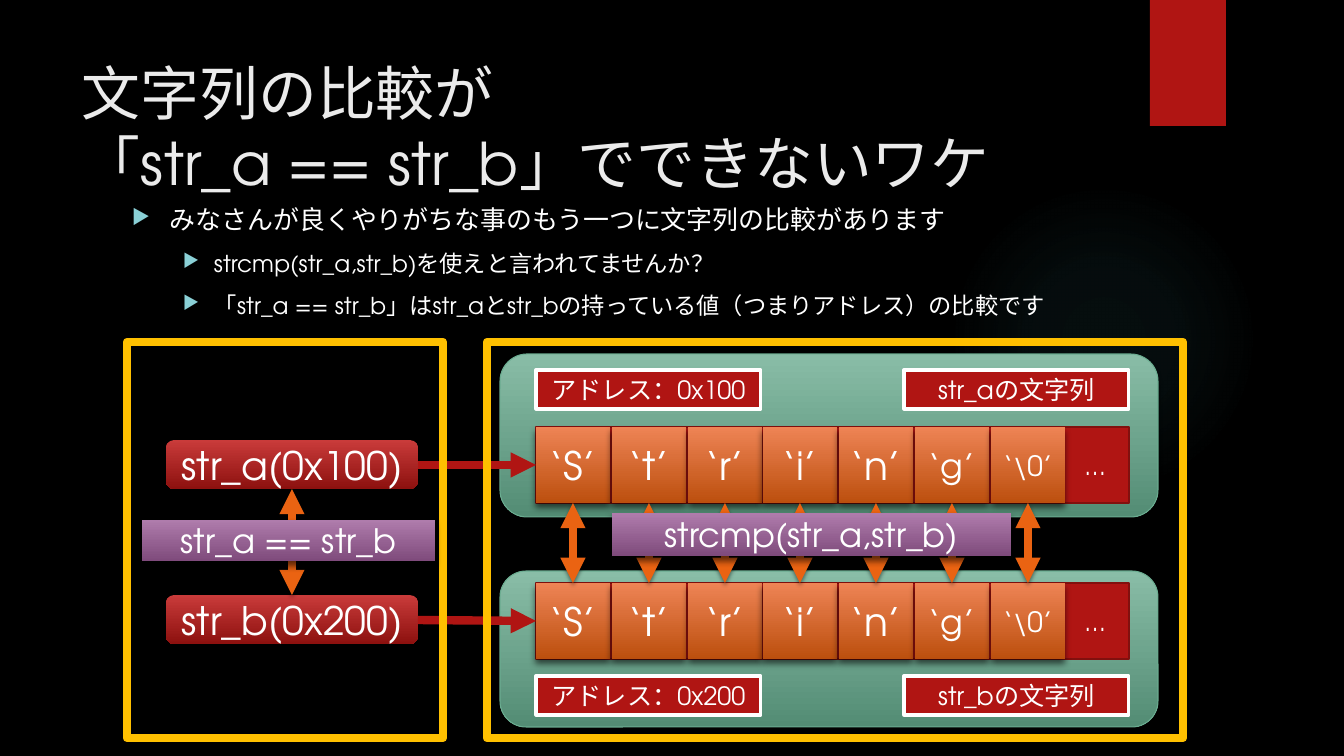
from dataclasses import dataclass

from lxml import etree
from pptx import Presentation
from pptx import util as u
from pptx.dml import color
from pptx.enum import shapes, text
from pptx.oxml import ns

EMU_PER_PIXEL = 914400 / 100.8


@dataclass(frozen=True)
class Theme:
    font: str = "TeX Gyre Adventor"
    background: str = "000000"
    title: str = "EBEBEB"
    white: str = "FFFFFF"
    bullet: str = "8AD0D6"
    glow: str = "50B9C1"
    red: str = "B01513"
    dark_red: str = "82100E"
    orange: str = "EA6312"
    yellow: str = "FFC000"
    green_line: str = "6AAC90"
    green_fade: tuple = ("89BDA7", "538C74")
    orange_fade: tuple = ("EE8455", "BC4F0E")
    red_fade: tuple = ("C93B3A", "8D110F")
    purple_fade: tuple = ("AF7CAC", "7F4B7C")
    soft_shadow: tuple = (45, 3, 2)
    deep_shadow: tuple = (60, 5, 3)
    title_size: float = 42
    body_size: float = 18.5
    detail_size: float = 16.6
    big_size: float = 28
    banner_size: float = 24
    small_size: float = 20
    label_size: float = 18


THEME = Theme()
RECT = shapes.MSO_SHAPE.RECTANGLE
ROUND = shapes.MSO_SHAPE.ROUNDED_RECTANGLE
CELL_LEFT, CELL_PITCH, CELL_WIDTH, CELL_HEIGHT = 536, 75.8, 74, 76
CHARACTERS = ["S", "t", "r", "i", "n", "g", "\\0"]
CELL_SIZES = [THEME.big_size] * 5 + [THEME.banner_size, THEME.small_size]


def px(*lengths):
    return [u.Emu(round(length * EMU_PER_PIXEL)) for length in lengths]


def rgb(value):
    return color.RGBColor.from_string(value)


def add_xml(parent, tag, **attributes):
    values = {name: str(value) for name, value in attributes.items()}
    return etree.SubElement(parent, ns.qn(tag), values)


def add_shadow(effects, shadow):
    opacity, blur, distance = shadow
    outer = add_xml(effects, "a:outerShdw", blurRad=u.Pt(blur), dist=u.Pt(distance),
                    dir=5400000, algn="ctr", rotWithShape=0)
    tint = add_xml(outer, "a:srgbClr", val="000000")
    add_xml(tint, "a:alpha", val=opacity * 1000)


def style_text(paragraph, size, ink):
    paragraph.font.name = THEME.font
    paragraph.font.size = u.Pt(size)
    paragraph.font.color.rgb = rgb(ink)


def add_block(slide, kind, box, fill=None, line=None, shadow=None, label=None, size=None):
    shape = slide.shapes.add_shape(kind, *px(*box))
    shape.shadow.inherit = False
    if fill is None:
        shape.fill.background()
    elif isinstance(fill, tuple):
        shape.fill.gradient()
        shape.fill.gradient_angle = 270
        for stop, tint in zip(shape.fill.gradient_stops, fill):
            stop.color.rgb = rgb(tint)
    else:
        shape.fill.solid()
        shape.fill.fore_color.rgb = rgb(fill)
    if line:
        shape.line.color.rgb = rgb(line[0])
        shape.line.width = u.Pt(line[1])
    else:
        shape.line.fill.background()
    if shadow:
        add_shadow(shape._element.spPr.find(ns.qn("a:effectLst")), shadow)
    if label:
        frame = shape.text_frame
        frame.word_wrap = True
        frame.vertical_anchor = text.MSO_ANCHOR.MIDDLE
        frame.text = label
        frame.paragraphs[0].alignment = text.PP_ALIGN.CENTER
        style_text(frame.paragraphs[0], size, THEME.white)
    return shape


def add_text(slide, box, content, size, ink):
    frame = slide.shapes.add_textbox(*px(*box)).text_frame
    frame.word_wrap = True
    frame.text = content
    style_text(frame.paragraphs[0], size, ink)
    return frame


def add_arrow(slide, ends, tint, both=False, shadow=None):
    arrow = slide.shapes.add_connector(shapes.MSO_CONNECTOR.STRAIGHT, *px(*ends))
    arrow.line.color.rgb = rgb(tint)
    arrow.line.width = u.Pt(6)
    line = arrow.line._get_or_add_ln()
    if both:
        add_xml(line, "a:headEnd", type="triangle")
    add_xml(line, "a:tailEnd", type="triangle")
    effects = add_xml(arrow._element.spPr, "a:effectLst")
    if shadow:
        add_shadow(effects, shadow)


def add_glow(slide, box):
    shape = add_block(slide, shapes.MSO_SHAPE.OVAL, box)
    old_fill = shape._element.spPr.find(ns.qn("a:noFill"))
    gradient = etree.Element(ns.qn("a:gradFill"), rotWithShape="1")
    stops = add_xml(gradient, "a:gsLst")
    for position, opacity in [(0, 7), (36, 6), (69, 0)]:
        stop = add_xml(stops, "a:gs", pos=position * 1000)
        tint = add_xml(stop, "a:srgbClr", val=THEME.glow)
        add_xml(tint, "a:alpha", val=opacity * 1000)
    circle = add_xml(gradient, "a:path", path="circle")
    add_xml(circle, "a:fillToRect", l=50000, t=50000, r=50000, b=50000)
    old_fill.getparent().replace(old_fill, gradient)


def add_bullets(slide, box, items):
    frame = slide.shapes.add_textbox(*px(*box)).text_frame
    frame.word_wrap = True
    for index, (level, content) in enumerate(items):
        paragraph = frame.paragraphs[0] if index == 0 else frame.add_paragraph()
        paragraph.text = content
        paragraph.level = level
        paragraph.space_before = u.Pt(10)
        margin, hang = px(*[(38, 38), (82, 31)][level])
        properties = paragraph._p.get_or_add_pPr()
        properties.set("marL", str(margin))
        properties.set("indent", str(-hang))
        add_xml(add_xml(properties, "a:buClr"), "a:srgbClr", val=THEME.bullet)
        add_xml(properties, "a:buSzPct", val=80000)
        add_xml(properties, "a:buChar", char="▶")
        style_text(paragraph, [THEME.body_size, THEME.detail_size][level], THEME.white)


def cell_left(index):
    return round(CELL_LEFT + index * CELL_PITCH)


def add_string(slide, name, address, panel, cell_top, label_top, button_top):
    add_block(slide, ROUND, panel, THEME.green_fade, (THEME.green_line, 0.75),
              THEME.soft_shadow)
    add_block(slide, RECT, (CELL_LEFT, cell_top, 593, CELL_HEIGHT), THEME.red,
              (THEME.dark_red, 1.5))
    for index, (character, size) in enumerate(zip(CHARACTERS, CELL_SIZES)):
        add_block(slide, RECT, (cell_left(index), cell_top, CELL_WIDTH, CELL_HEIGHT),
                  THEME.orange_fade, None, THEME.deep_shadow, f"‘{character}’", size)
    add_text(slide, (1075, cell_top + 18, 54, 40), "…", THEME.label_size, THEME.white)
    for left, label in [(536, f"アドレス：{address}"), (904, f"{name}の文字列")]:
        add_block(slide, RECT, (left, label_top, 225, 39), THEME.red, (THEME.white, 2.25),
                  None, label, THEME.label_size)
    add_block(slide, ROUND, (166, button_top, 252, 49), THEME.red_fade, None,
              THEME.deep_shadow, f"{name}({address})", THEME.big_size)
    add_arrow(slide, (418, button_top + 25, CELL_LEFT, cell_top + 38), THEME.red)


def main():
    presentation = Presentation()
    presentation.slide_width, presentation.slide_height = px(1344, 756)
    slide = presentation.slides.add_slide(presentation.slide_layouts[6])
    slide.background.fill.solid()
    slide.background.fill.fore_color.rgb = rgb(THEME.background)

    add_glow(slide, (949, 184, 310, 310))
    add_block(slide, RECT, (1150, 0, 76, 126), THEME.red, None, THEME.soft_shadow)
    title = add_text(slide, (72, 50, 1037, 154),
                     "文字列の比較が\v「str_a == str_b」でできないワケ",
                     THEME.title_size, THEME.title)
    title.vertical_anchor = text.MSO_ANCHOR.MIDDLE
    add_bullets(slide, (122, 199, 986, 141), [
        (0, "みなさんが良くやりがちな事のもう一つに文字列の比較があります"),
        (1, "strcmp(str_a,str_b)を使えと言われてませんか？"),
        (1, "「str_a == str_b」はstr_aとstr_bの持っている値（つまりアドレス）の比較です"),
    ])

    add_string(slide, "str_b", "0x200", (500, 571, 658, 156), 583, 676, 595)
    add_string(slide, "str_a", "0x100", (500, 354, 658, 163), 427, 370, 440)

    for index in range(len(CHARACTERS)):
        center = cell_left(index) + CELL_WIDTH // 2
        add_arrow(slide, (center, 503, center, 583), THEME.orange, True, THEME.soft_shadow)
    add_arrow(slide, (292, 489, 292, 595), THEME.orange, True, THEME.soft_shadow)

    for left, width in [(127, 316), (487, 696)]:
        add_block(slide, RECT, (left, 342, width, 396), None, (THEME.yellow, 6))
    for box, label in [((142, 520, 293, 41), "str_a == str_b"),
                       ((612, 513, 399, 43), "strcmp(str_a,str_b)")]:
        add_block(slide, RECT, box, THEME.purple_fade, None, THEME.deep_shadow, label,
                  THEME.banner_size)
    presentation.save("out.pptx")


main()
